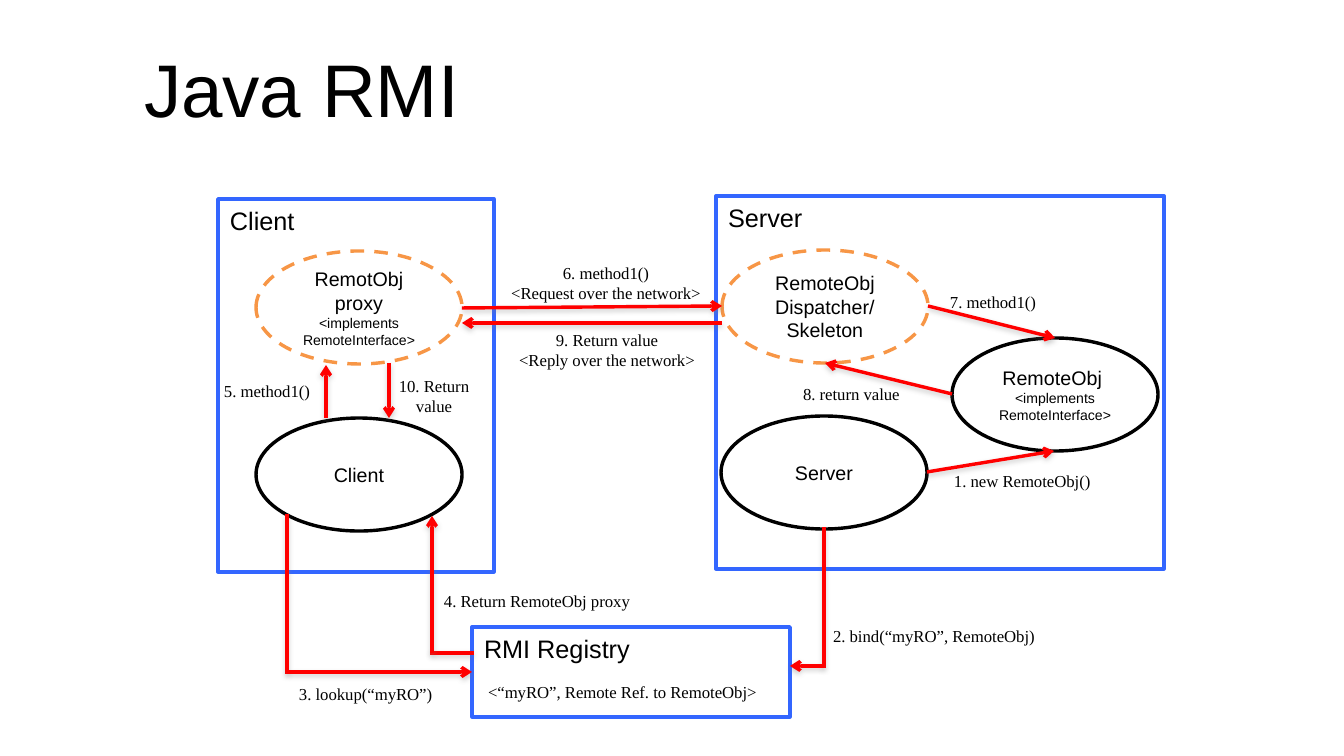
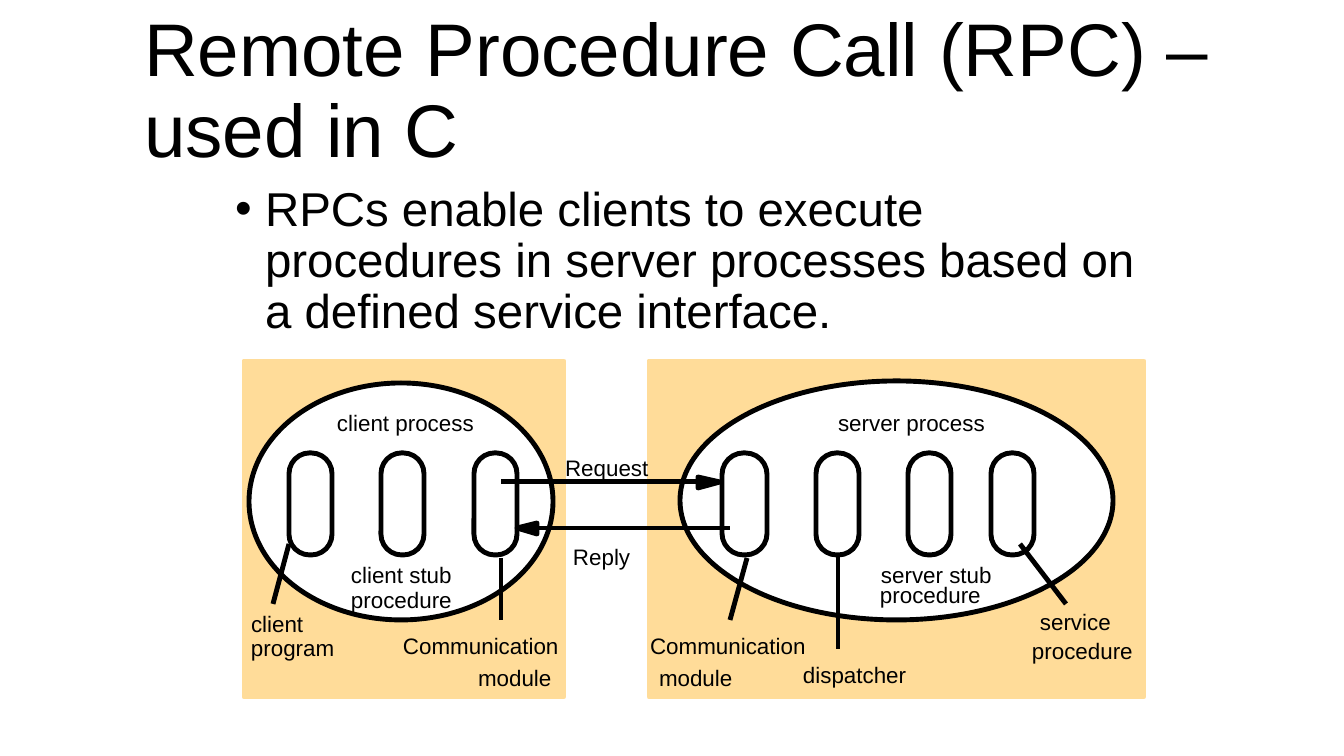
"""Build two slides on remote invocation: Java RMI and RPC in C."""
from itertools import pairwise

from lxml.etree import SubElement
from pptx import Presentation
from pptx.dml.color import RGBColor
from pptx.enum.dml import MSO_LINE
from pptx.enum.shapes import MSO_CONNECTOR, MSO_SHAPE
from pptx.enum.text import MSO_ANCHOR, MSO_AUTO_SIZE, PP_ALIGN
from pptx.oxml import parse_xml
from pptx.oxml.ns import nsdecls, qn
from pptx.util import Pt

PX = 7495
COLORS = {
    "ink": "000000", "paper": "FFFFFF", "host": "3366FF",
    "stub": "F79646", "call": "FF0000", "panel": "FFDC99",
}
SANS, SERIF = "Arial", "Times New Roman"
NO_INSETS = dict.fromkeys(("margin_left", "margin_top", "margin_right", "margin_bottom"), 0)
TITLE_FRAME = {**NO_INSETS, "vertical_anchor": MSO_ANCHOR.MIDDLE, "auto_size": MSO_AUTO_SIZE.NONE}
BODY_FRAME = {**NO_INSETS, "vertical_anchor": MSO_ANCHOR.TOP, "auto_size": MSO_AUTO_SIZE.NONE}
LABEL_FRAME = {"word_wrap": False, "auto_size": MSO_AUTO_SIZE.SHAPE_TO_FIT_TEXT}
HEADING_PARAGRAPH = {"alignment": PP_ALIGN.LEFT, "line_spacing": 0.9}
BODY_PARAGRAPH = {**HEADING_PARAGRAPH, "space_before": Pt(10)}
LEFT, CENTER = {"alignment": PP_ALIGN.LEFT}, {"alignment": PP_ALIGN.CENTER}
SHADOW = (
    f'<a:effectLst {nsdecls("a")}><a:outerShdw blurRad="39370" dist="20320" dir="5400000" '
    'rotWithShape="0"><a:srgbClr val="808080"><a:alpha val="38000"/></a:srgbClr>'
    "</a:outerShdw></a:effectLst>"
)
NO_EFFECT = f'<a:effectLst {nsdecls("a")}/>'


def write(shape, paragraphs, font, frame_format, paragraph_format):
    """Fill a shape with paragraphs, each a list of (text, size) runs."""
    frame = shape.text_frame
    for key, value in frame_format.items():
        setattr(frame, key, value)
    for index, runs in enumerate(paragraphs):
        paragraph = frame.add_paragraph() if index else frame.paragraphs[0]
        for key, value in paragraph_format.items():
            setattr(paragraph, key, value)
        for text, size in runs:
            run = paragraph.add_run()
            run.text = text
            run.font.name, run.font.size = font, Pt(size)
            run.font.color.rgb = RGBColor.from_string(COLORS["ink"])


def draw(slide, kind, box, fill, line, width):
    """Add a preset shape with a plain fill and outline."""
    shape = slide.shapes.add_shape(kind, *(length * PX for length in box))
    shape.shadow.inherit = False
    for part, color in ((shape.fill, fill), (shape.line.fill, line)):
        if color:
            part.solid()
            part.fore_color.rgb = RGBColor.from_string(COLORS[color])
        else:
            part.background()
    if line:
        shape.line.width = Pt(width)
    return shape


prs = Presentation()
prs.slide_width, prs.slide_height = 1344 * PX, 756 * PX
rmi = prs.slides.add_slide(prs.slide_layouts[5])
rpc = prs.slides.add_slide(prs.slide_layouts[1])

definition = rpc.placeholders[1]
headings = [
    (rmi.shapes.title, "Java RMI", 44, (144, 30, 1133, 126), TITLE_FRAME, HEADING_PARAGRAPH),
    (rpc.shapes.title, "Remote Procedure Call (RPC) – used in C", 44,
     (144, 30, 1133, 126), TITLE_FRAME, HEADING_PARAGRAPH),
    (definition, "RPCs enable clients to execute procedures in server processes "
     "based on a defined service interface.", 28, (235, 185, 916, 492), BODY_FRAME, BODY_PARAGRAPH),
]
for holder, text, size, box, frame_format, paragraph_format in headings:
    holder.left, holder.top, holder.width, holder.height = (length * PX for length in box)
    write(holder, [[(text, size)]], SANS, frame_format, paragraph_format)
bullet = definition.text_frame.paragraphs[0]._p.get_or_add_pPr()
bullet.set("marL", str(30 * PX))
bullet.set("indent", str(-30 * PX))
SubElement(bullet, qn("a:buChar")).set("char", "•")

hosts = {}
for host, box in (
    ("Client", (218, 199, 276, 373)),
    ("Server", (716, 196, 448, 373)),
    ("RMI Registry", (472, 627, 318, 90)),
):
    hosts[host] = draw(rmi, MSO_SHAPE.RECTANGLE, box, "paper", "host", 2)
    write(hosts[host], [[(host, 14.9)]], SANS, {"vertical_anchor": MSO_ANCHOR.TOP}, LEFT)

interface = ("<implements RemoteInterface>", 8.3)
objects = {}
for role, left, top, line, paragraphs in (
    ("proxy", 256, 251, "stub", [[("RemotObj proxy ", 11.6), interface]]),
    ("client", 256, 418, "ink", [[("Client", 11.6)]]),
    ("remote", 952, 338, "ink", [[("RemoteObj ", 11.6)], [interface]]),
    ("server", 721, 416, "ink", [[("Server", 11.6)]]),
    ("skeleton", 722, 250, "stub", [[("RemoteObj Dispatcher/", 11.6)], [("Skeleton", 11.6)]]),
):
    objects[role] = draw(rmi, MSO_SHAPE.OVAL, (left, top, 206, 113), "paper", line, 2)
    if line == "stub":
        objects[role].line.dash_style = MSO_LINE.DASH
    write(objects[role], paragraphs, SANS, {"vertical_anchor": MSO_ANCHOR.MIDDLE}, CENTER)

for left, width in ((244, 317), (649, 492)):
    draw(rpc, MSO_SHAPE.RECTANGLE, (left, 361, width, 333), "panel", None, 0)
    draw(rpc, MSO_SHAPE.RECTANGLE, (left, 361, width + 3, 336), None, "panel", 2.88)
for process in ((680, 381, 433, 239), (249, 383, 304, 237)):
    draw(rpc, MSO_SHAPE.OVAL, process, "paper", "ink", 2.88)
for left, width in ((289, 43), (381, 43), (474, 43), (722, 45), (816, 43), (908, 43), (991, 43)):
    module = draw(rpc, MSO_SHAPE.ROUNDED_RECTANGLE, (left, 453, width, 102), None, "ink", 2.88)
    module.adjustments[0] = 0.48

step_labels = [
    (["<“myRO”, Remote Ref. to RemoteObj>"], 476, 676, 299),
    (["1. new RemoteObj()"], 942, 465, 163),
    (["2. bind(“myRO”, RemoteObj)"], 821, 620, 231),
    (["3. lookup(“myRO”)"], 287, 678, 161),
    (["4. Return RemoteObj proxy"], 432, 585, 215),
    (["5. method1()"], 212, 375, 112),
    (["6. method1()", "<Request over the network>"], 497, 257, 218),
    (["7. method1()"], 938, 286, 112),
    (["8. return value"], 791, 378, 123),
    (["9. Return value", "<Reply over the network>"], 505, 324, 204),
    (["10. Return", "value"], 386, 370, 96),
]
for lines, left, top, width in step_labels:
    label = rmi.shapes.add_textbox(left * PX, top * PX, width * PX, (13 + 20 * len(lines)) * PX)
    write(label, [[(line, 9.9)] for line in lines], SERIF, LABEL_FRAME,
          CENTER if len(lines) > 1 else LEFT)

part_labels = [
    ("client process", 337, 409, 145), ("server process", 838, 409, 155),
    ("client stub", 351, 561, 102), ("procedure", 351, 586, 102),
    ("server stub", 881, 561, 112), ("procedure", 880, 581, 102),
    ("client", 251, 610, 60), ("program", 251, 634, 90),
    ("Communication", 403, 632, 157), ("module", 478, 664, 75),
    ("Communication", 650, 632, 157), ("module", 659, 664, 75),
    ("dispatcher", 803, 661, 105),
    ("service", 1040, 608, 78), ("procedure", 1032, 637, 102),
    ("Request", 565, 454, 84), ("Reply", 573, 543, 59),
]
for text, left, top, width in part_labels:
    label = rpc.shapes.add_textbox(left * PX, top * PX, width * PX, 27 * PX)
    write(label, [[(text, 13.2)]], SANS, {**NO_INSETS, **LABEL_FRAME}, LEFT)

calls = [
    [(927, 472), (1054, 451)],
    [(824, 529), (824, 666), (790, 666)],
    [(287, 516), (287, 672), (472, 672)],
    [(472, 653), (432, 653), (432, 516)],
    [(326, 418), (326, 365)],
    [(462, 308), (722, 306)],
    [(928, 306), (1055, 338)],
    [(952, 394), (825, 363)],
    [(722, 323), (462, 323)],
    [(389, 363), (389, 418)],
]
pointers = [
    [(698, 482), (501, 482)], [(539, 528), (730, 528)],
    [(730, 620), (747, 558)], [(501, 620), (501, 558)],
    [(273, 604), (289, 544)], [(1066, 604), (1020, 544)],
    [(838, 649), (838, 555)],
]
joins = {(472, 672): (hosts["RMI Registry"], 1), (1055, 338): (objects["remote"], 0)}
for slide, routes, color, width, effect in (
    (rmi, calls, "call", 2, SHADOW),
    (rpc, pointers, "ink", 2.88, NO_EFFECT),
):
    for route in routes:
        for start, stop in pairwise(route):
            ends = (length * PX for length in (*start, *stop))
            leg = slide.shapes.add_connector(MSO_CONNECTOR.STRAIGHT, *ends)
            leg.line.color.rgb = RGBColor.from_string(COLORS[color])
            leg.line.width = Pt(width)
            stroke = leg.line._get_or_add_ln()
            if stop != route[-1]:
                stroke.set("cap", "sq")
            elif slide is rmi:
                SubElement(stroke, qn("a:tailEnd")).set("type", "arrow")
            leg._element.spPr.append(parse_xml(effect))
            if stop in joins:
                leg.end_connect(*joins[stop])

for base, tip, middle in ((698, 720, 482), (537, 517, 528)):
    outline = rpc.shapes.build_freeform(base, middle - 5, scale=PX)
    outline.add_line_segments([(tip, middle), (base, middle + 6)], close=True)
    arrowhead = outline.convert_to_shape()
    arrowhead.shadow.inherit = False
    arrowhead.fill.solid()
    for part in (arrowhead.fill.fore_color, arrowhead.line.color):
        part.rgb = RGBColor.from_string(COLORS["ink"])
    arrowhead.line.width = Pt(2.88)

prs.save("out.pptx")
